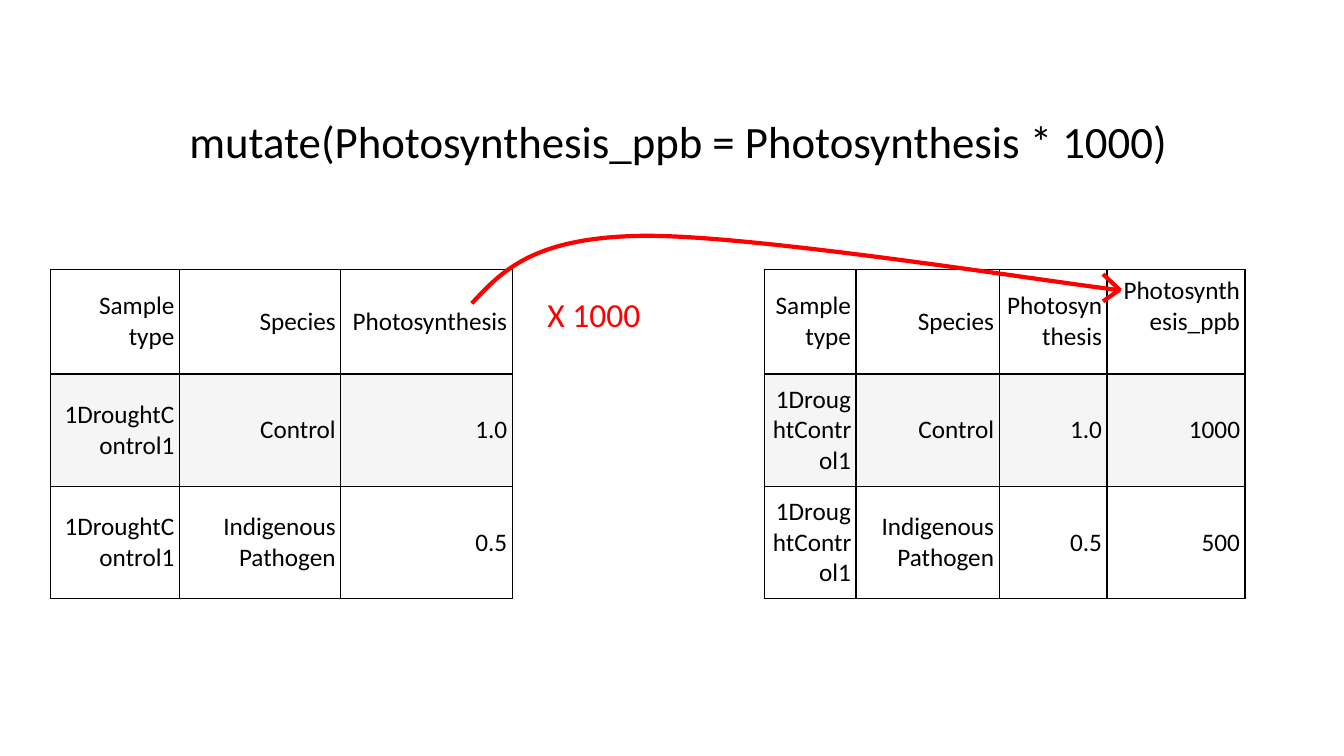
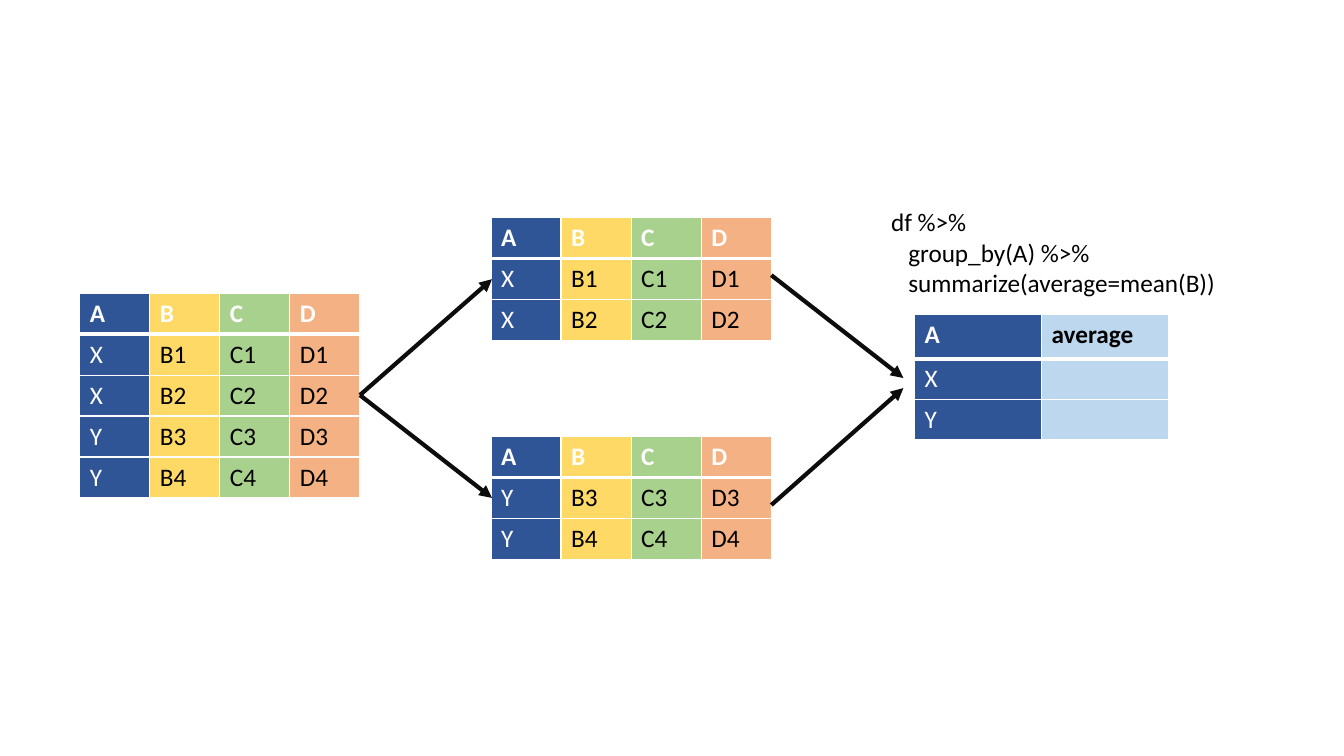
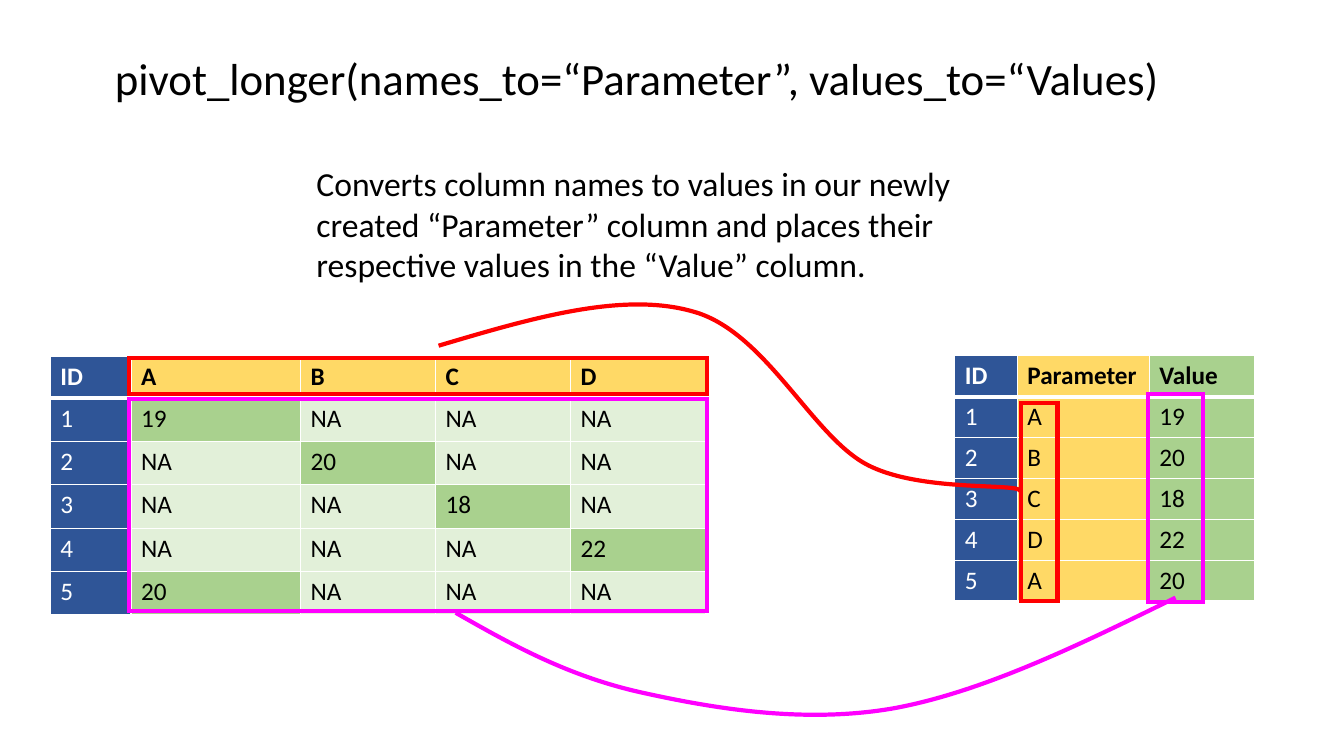
from pptx import Presentation
from pptx.dml.color import RGBColor
from pptx.enum.shapes import MSO_CONNECTOR, MSO_SHAPE
from pptx.enum.text import MSO_ANCHOR, MSO_AUTO_SIZE, PP_ALIGN
from pptx.oxml.ns import qn
from pptx.util import Inches, Pt
from lxml.etree import SubElement

FONT = "Calibri"
HEX = {
    "black": "000000", "white": "FFFFFF", "ink": "0D0D0D", "grey": "F5F5F5",
    "navy": "2F5597", "gold": "FFD966", "green": "A9D18E", "pale": "E2F0D9",
    "orange": "F4B183", "sky": "BDD7EE", "red": "FF0000", "pink": "FF00FF",
}
TITLE, NOTE, BODY = 32, 24, 18
STROKE = 3

# Slide 1: adding a column
SAMPLES = [
    ["Sample type", "Species", "Photosynthesis"],
    ["1DroughtControl1", "Control", "1.0"],
    ["1DroughtControl1", "Indigenous Pathogen", "0.5"],
]
PPB = ["Photosynthesis_ppb", "1000", "500"]
SAMPLE_ROWS = [1.04] + [(3.27 - 1.04) / 2] * 2
MUTATE_BOX = (4.68, 2.34, 6.43, 0.67)
MUTATE_CURVE = [(4.68, 3.01), (4.98, 2.69), (5.28, 2.36), (6.35, 2.34),
                (7.42, 2.32), (10.29, 2.78), (11.11, 2.88)]
MUTATE_TIP = [((11.11, 2.88), (10.94, 2.72)), ((10.94, 2.99), (11.11, 2.87))]

# Slide 2: grouping and averaging
LETTERS = ["A", "B", "C", "D"]
FULL = [[key] + [f"{col}{n}" for col in LETTERS[1:]]
        for n, key in enumerate("XXYY", 1)]
HUES = ["navy", "gold", "green", "orange"]
GROUPS = [(0.79, 2.91, FULL), (4.87, 2.16, FULL[:2]), (4.87, 4.33, FULL[2:])]
MEANS = [["A", "average"], ["X", ""], ["Y", ""]]
CODE = [("df %>%", 0), ("group_by(A) %>%", 0.17),
        ("summarize(average=mean(B))", 0.17)]
ARROWS = [((3.57, 3.92), (4.88, 2.77)), ((3.57, 3.92), (4.88, 4.94)),
          ((7.65, 5.01), (8.96, 3.85)), ((7.65, 2.73), (8.96, 3.75))]

# Slide 3: wide to long
READINGS = [("A", "19"), ("B", "20"), ("C", "18"), ("D", "22"), ("A", "20")]
LONG = [["ID", "Parameter", "Value"]] + [
    [str(n), name, value] for n, (name, value) in enumerate(READINGS, 1)]
WIDE = [["ID"] + LETTERS] + [
    [str(n)] + [value if col == name else "NA" for col in LETTERS]
    for n, (name, value) in enumerate(READINGS, 1)]
ABOUT = ("Converts column names to values in our newly created “Parameter” "
         "column and places their respective values in the “Value” column.")
NAME_FRAME = (10.13, 4, 0.36, 1.96)
VALUE_FRAME = (11.39, 3.91, 0.54, 2.06)
BODY_FRAME = (1.28, 3.96, 5.73, 2.1)
HEAD_FRAME = (1.28, 3.55, 5.73, 0.36)
NAME_BOX = (4.35, 3.02, 5.78, 1.86)
NAME_CURVE = [(4.35, 3.43), (5.26, 3.16), (6.17, 2.89), (6.87, 3.09),
              (7.58, 3.28), (8.04, 4.3), (8.58, 4.6),
              (9.12, 4.9), (10.17, 4.78), (10.12, 4.88)]
VALUE_BOX = (4.52, 5.93, 7.14, 1.16)
VALUE_CURVE = [(4.52, 6.08), (5.08, 6.4), (5.64, 6.71), (6.36, 6.87),
               (7.08, 7.03), (7.97, 7.18), (8.85, 7.03),
               (9.74, 6.87), (10.7, 6.4), (11.66, 5.93)]


def rgb(name):
    return RGBColor.from_string(HEX[name])


def write(para, text, size=BODY, color="black", bold=False):
    run = para.add_run()
    run.text = text
    font = run.font
    font.name, font.size, font.bold = FONT, Pt(size), bold
    font.color.rgb = rgb(color)


def label(slide, box, lines, size=BODY, color="black"):
    """Add a text box; lines holds (text, left indent in inches) pairs."""
    frame = slide.shapes.add_textbox(*map(Inches, box)).text_frame
    frame.word_wrap = True
    frame.auto_size = MSO_AUTO_SIZE.SHAPE_TO_FIT_TEXT
    for n, (text, indent) in enumerate(lines):
        para = frame.add_paragraph() if n else frame.paragraphs[0]
        if indent:
            para._p.get_or_add_pPr().set("marL", str(Inches(indent)))
        write(para, text, size, color)


def edge(cell, side, color, width):
    line = SubElement(cell._tc.get_or_add_tcPr(), qn(f"a:ln{side}"),
                      w=str(Pt(width)))
    fill = SubElement(line, qn("a:solidFill"))
    SubElement(fill, qn("a:srgbClr"), val=HEX[color])


def grid(slide, x, y, cols, rows, data, paint, rule="white", head="black"):
    """Add a table; paint(row, col) names the fill of a cell."""
    box = map(Inches, (x, y, sum(cols), sum(rows)))
    table = slide.shapes.add_table(len(rows), len(cols), *box).table
    table.first_row = table.horz_banding = False
    for col, width in zip(table.columns, cols):
        col.width = Inches(width)
    for row, height in zip(table.rows, rows):
        row.height = Inches(height)
    thick = 3 if rule == "white" else 1
    for r, line in enumerate(data):
        for c, text in enumerate(line):
            cell, hue = table.cell(r, c), paint(r, c)
            for side in "LRTB":
                heavy = (r, side) in ((0, "B"), (1, "T"))
                edge(cell, side, rule, thick if heavy else 1)
            cell.fill.solid()
            cell.fill.fore_color.rgb = rgb(hue)
            color = "white" if hue == "navy" else "black" if r else head
            if text:
                write(cell.text_frame.paragraphs[0], text, color=color,
                      bold=r == 0 and rule == "white")
    return table


def samples(slide, x, cols, data):
    table = grid(slide, x, 2.67, cols, SAMPLE_ROWS, data,
                 lambda r, c: "grey" if r == 1 else "white", "black")
    for cell in table.iter_cells():
        cell.vertical_anchor = MSO_ANCHOR.MIDDLE
        cell.margin_left = cell.margin_right = Inches(0.05)
        cell.margin_top = cell.margin_bottom = Inches(0.02)
        cell.text_frame.paragraphs[0].alignment = PP_ALIGN.RIGHT
    return table


def stroke(shape, color):
    shape.line.color.rgb = rgb(color)
    shape.line.width = Pt(STROKE)
    SubElement(shape.line._get_or_add_ln(), qn("a:miter"), lim="800000")


def outline(shape, color):
    shape.shadow.inherit = False
    shape.fill.background()
    stroke(shape, color)


def link(slide, start, end, color, arrow=False):
    line = slide.shapes.add_connector(
        MSO_CONNECTOR.STRAIGHT, *map(Inches, start + end))
    stroke(line, color)
    if arrow:
        SubElement(line.line._get_or_add_ln(), qn("a:tailEnd"),
                   type="triangle")
    SubElement(line._element.spPr, qn("a:effectLst"))


def curve(slide, box, knots, color):
    """Draw joined cubic Bezier pieces as one open outline."""
    x, y, w, h = box
    pen = slide.shapes.build_freeform(Inches(x), Inches(y))
    pen.add_line_segments([(Inches(x + w), Inches(y + h))], close=False)
    shape = pen.convert_to_shape()
    track = shape._element.spPr.find(".//" + qn("a:path"))
    for step in list(track):
        track.remove(step)
    parts = [("a:moveTo", knots[:1])]
    parts += [("a:cubicBezTo", knots[k:k + 3])
              for k in range(1, len(knots), 3)]
    for tag, dots in parts:
        step = SubElement(track, qn(tag))
        for px, py in dots:
            SubElement(step, qn("a:pt"), x=str(Inches(px - x)),
                       y=str(Inches(py - y)))
    outline(shape, color)


def frame(slide, box, color):
    outline(slide.shapes.add_shape(MSO_SHAPE.RECTANGLE, *map(Inches, box)),
            color)


def mutate(slide):
    samples(slide, 0.5, [1.28, 1.6, 1.7], SAMPLES)
    wider = [row + [extra] for row, extra in zip(SAMPLES, PPB)]
    table = samples(slide, 7.58, [0.91, 1.42, 1.07, 1.37], wider)
    table.cell(0, 3).margin_bottom = Inches(0.32)
    label(slide, (1.78, 1.08, 10.11, 0.64),
          [("mutate(Photosynthesis_ppb = Photosynthesis * 1000)", 0)], TITLE)
    label(slide, (5.33, 2.87, 1.86, 0.5), [("X 1000", 0)], NOTE, "red")
    curve(slide, MUTATE_BOX, MUTATE_CURVE, "red")
    for start, end in MUTATE_TIP:
        link(slide, start, end, "red")


def summary(slide):
    def group(x, y, data):
        rows = [LETTERS] + data
        grid(slide, x, y, [2.78 / 4] * 4, [2.03 / 5] * len(rows), rows,
             lambda r, c: HUES[c], head="white")

    group(*GROUPS[0])
    label(slide, (8.74, 2, 4.27, 1.31), CODE)
    for part in GROUPS[1:]:
        group(*part)
    grid(slide, 9.07, 3.12, [1.26] * 2, [0.44, 0.4, 0.4], MEANS,
         lambda r, c: ("navy", "sky")[c])
    for start, end in ARROWS:
        link(slide, start, end, "ink", arrow=True)


def pivot(slide):
    def shade(r, c):
        if c == 0:
            return "navy"
        if r == 0:
            return "gold"
        return "pale" if WIDE[r][c] == "NA" else "green"

    grid(slide, 9.47, 3.53, [0.62, 1.31, 1.04], [2.43 / 6] * 6, LONG,
         lambda r, c: HUES[c])
    grid(slide, 0.5, 3.54, [0.8, 1.68] + [1.34] * 3, [0.41] + [0.43] * 5,
         WIDE, shade)
    label(slide, (1.04, 0.45, 11.75, 0.64),
          [("pivot_longer(names_to=“Parameter”, values_to=“Values)", 0)],
          TITLE)
    frame(slide, NAME_FRAME, "red")
    label(slide, (3.04, 1.57, 7.44, 1.31), [(ABOUT, 0)], NOTE)
    curve(slide, NAME_BOX, NAME_CURVE, "red")
    frame(slide, VALUE_FRAME, "pink")
    frame(slide, BODY_FRAME, "pink")
    curve(slide, VALUE_BOX, VALUE_CURVE, "pink")
    frame(slide, HEAD_FRAME, "red")


def main():
    deck = Presentation()
    deck.slide_width, deck.slide_height = Inches(13.33), Inches(7.5)
    for build in (mutate, summary, pivot):
        build(deck.slides.add_slide(deck.slide_layouts[6]))
    deck.save("out.pptx")


if __name__ == "__main__":
    main()
